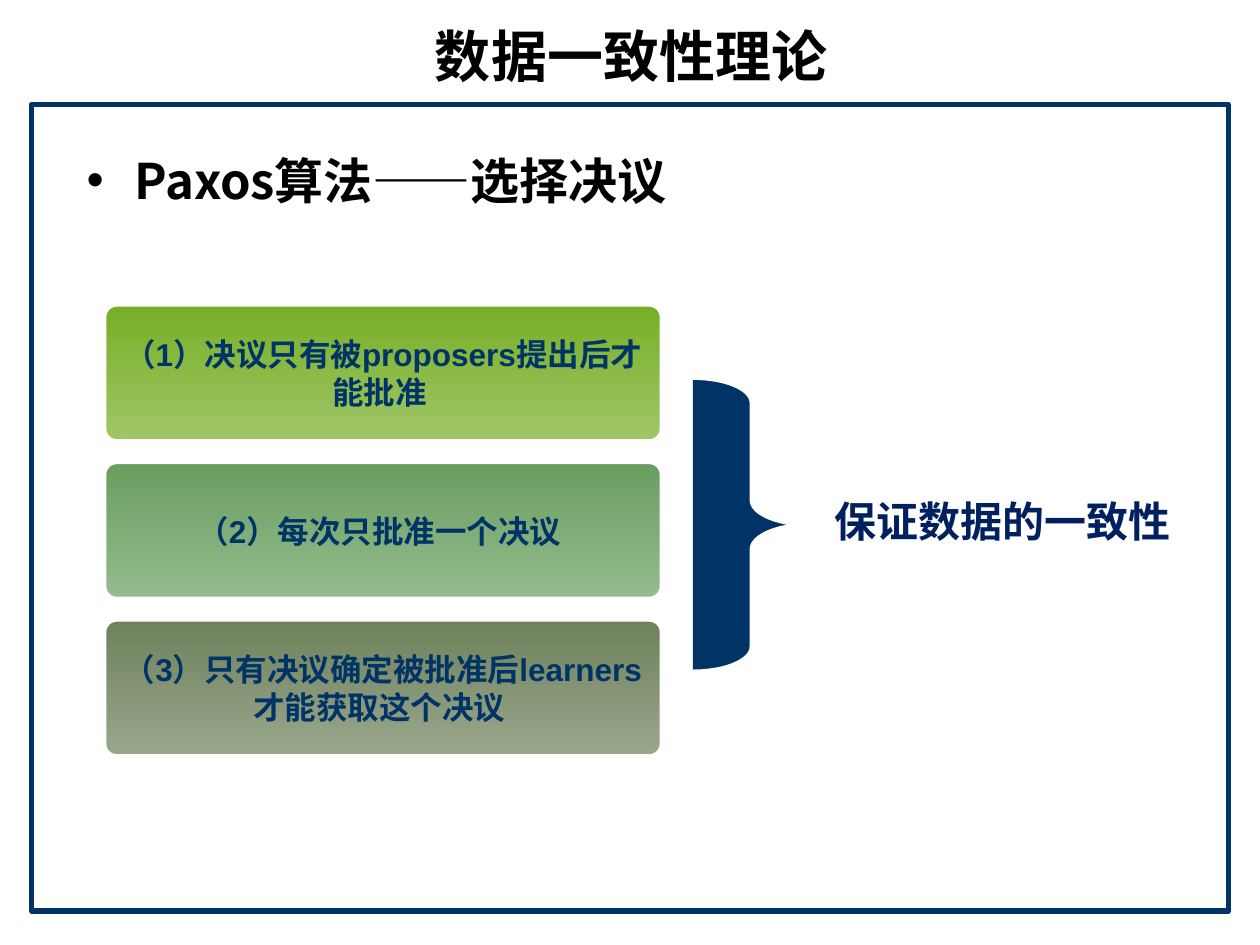
from dataclasses import dataclass

from lxml import etree
from pptx import Presentation
from pptx import util as u
from pptx.dml.color import RGBColor
from pptx.enum import shapes, text
from pptx.oxml import ns

TITLE = "数据一致性理论"
TOPIC = "Paxos算法——选择决议"
CONCLUSION = "保证数据的一致性 "
RULES = [
    (["（1）决议只有被proposers提出后才", "能批准 "], ("77AE26", "A0C668")),
    (["（2）每次只批准一个决议 "], ("699D5F", "96BB8F")),
    (["（3）只有决议确定被批准后learners", "才能获取这个决议 "], ("6E815B", "9AA78D")),
]
RULE_LEFT, RULE_TOP, RULE_WIDTH, RULE_HEIGHT, RULE_STEP = 0.83, 2.42, 4.42, 1.08, 1.25
CORNER = 0.09


@dataclass(frozen=True)
class Theme:
    """Colours, fonts and type sizes of the slide."""
    navy: str = "003366"
    conclusion: str = "002060"
    black: str = "000000"
    white: str = "FFFFFF"
    title_font: str = "DejaVu Sans"
    heading_font: str = "Noto Sans CJK SC"
    rule_font: str = "Arial"
    title_size: int = 32
    topic_size: int = 28
    conclusion_size: int = 24
    rule_size: int = 18


THEME = Theme()


def rgb(value):
    """Turn a hex string into a colour."""
    return RGBColor.from_string(value)


def box(left, top, width, height):
    """Turn a rectangle in inches into lengths."""
    return [u.Inches(value) for value in (left, top, width, height)]


def write(shape, lines, font_name, size, color, align=text.PP_ALIGN.CENTER,
          anchor=text.MSO_ANCHOR.MIDDLE, wrap=True):
    """Write bold lines into a shape, one paragraph each."""
    frame = shape.text_frame
    frame.word_wrap = wrap
    frame.auto_size = text.MSO_AUTO_SIZE.NONE
    frame.vertical_anchor = anchor
    for index, line in enumerate(lines):
        paragraph = frame.add_paragraph() if index else frame.paragraphs[0]
        paragraph.alignment = align
        run = paragraph.add_run()
        run.text = line
        font = run.font
        font.name, font.size, font.bold = font_name, u.Pt(size), True
        font.color.rgb = rgb(color)
    return frame


def add_shape(slide, kind, place, fill=None, line=None, line_width=0):
    """Add a preset shape with a solid, gradient or empty fill."""
    shape = slide.shapes.add_shape(kind, *box(*place))
    shape.shadow.inherit = False
    if fill is None:
        shape.fill.background()
    elif isinstance(fill, str):
        shape.fill.solid()
        shape.fill.fore_color.rgb = rgb(fill)
    else:
        shape.fill.gradient()
        shape.fill.gradient_angle = 270
        for position, (stop, color) in enumerate(zip(shape.fill.gradient_stops, fill)):
            stop.position = position
            stop.color.rgb = rgb(color)
    if line is None:
        shape.line.fill.background()
    else:
        shape.line.color.rgb = rgb(line)
        shape.line.width = u.Pt(line_width)
    return shape


def add_bullet(paragraph, indent):
    """Give a paragraph a round bullet with a hanging indent."""
    properties = paragraph._p.get_or_add_pPr()
    properties.set("marL", str(u.Inches(indent)))
    properties.set("indent", str(-u.Inches(indent)))
    etree.SubElement(properties, ns.qn("a:buFont")).set("typeface", THEME.rule_font)
    etree.SubElement(properties, ns.qn("a:buChar")).set("char", "•")


def build():
    """Build the slide and save it."""
    presentation = Presentation()
    presentation.slide_width, presentation.slide_height = u.Inches(10), u.Inches(7.5)
    slide = presentation.slides.add_slide(presentation.slide_layouts[5])

    title = slide.shapes.title
    title.left, title.top, title.width, title.height = box(0.27, 0.13, 9.48, 0.62)
    frame = write(title, [TITLE], THEME.title_font, THEME.title_size, THEME.black)
    frame.margin_left = frame.margin_right = frame.margin_top = frame.margin_bottom = 0

    kinds = shapes.MSO_SHAPE
    add_shape(slide, kinds.RECTANGLE, (0.25, 0.83, 9.5, 6.4), THEME.white, THEME.navy, 3)

    topic = slide.shapes.add_textbox(*box(0.59, 0.91, 9, 5.99))
    frame = write(topic, [TOPIC], THEME.heading_font, THEME.topic_size, THEME.black,
                  text.PP_ALIGN.LEFT, text.MSO_ANCHOR.TOP)
    frame.paragraphs[0].line_spacing = 1.5
    add_bullet(frame.paragraphs[0], 0.38)

    for index, (lines, gradient) in enumerate(RULES):
        place = (RULE_LEFT, RULE_TOP + index * RULE_STEP, RULE_WIDTH, RULE_HEIGHT)
        rule = add_shape(slide, kinds.ROUNDED_RECTANGLE, place, gradient, THEME.white, 2)
        rule.adjustments[0] = CORNER
        write(rule, lines, THEME.rule_font, THEME.rule_size, THEME.navy, wrap=False)

    conclusion = add_shape(slide, kinds.ROUNDED_RECTANGLE, (6.43, 3.42, 3.13, 1.42))
    conclusion.adjustments[0] = CORNER
    write(conclusion, [CONCLUSION], THEME.heading_font, THEME.conclusion_size,
          THEME.conclusion)

    brace = add_shape(slide, kinds.RIGHT_BRACE, (5.5, 3, 0.93, 2.33),
                      THEME.navy, THEME.white, 2.24)
    brace.adjustments[0] = 0.21
    presentation.save("out.pptx")


build()
